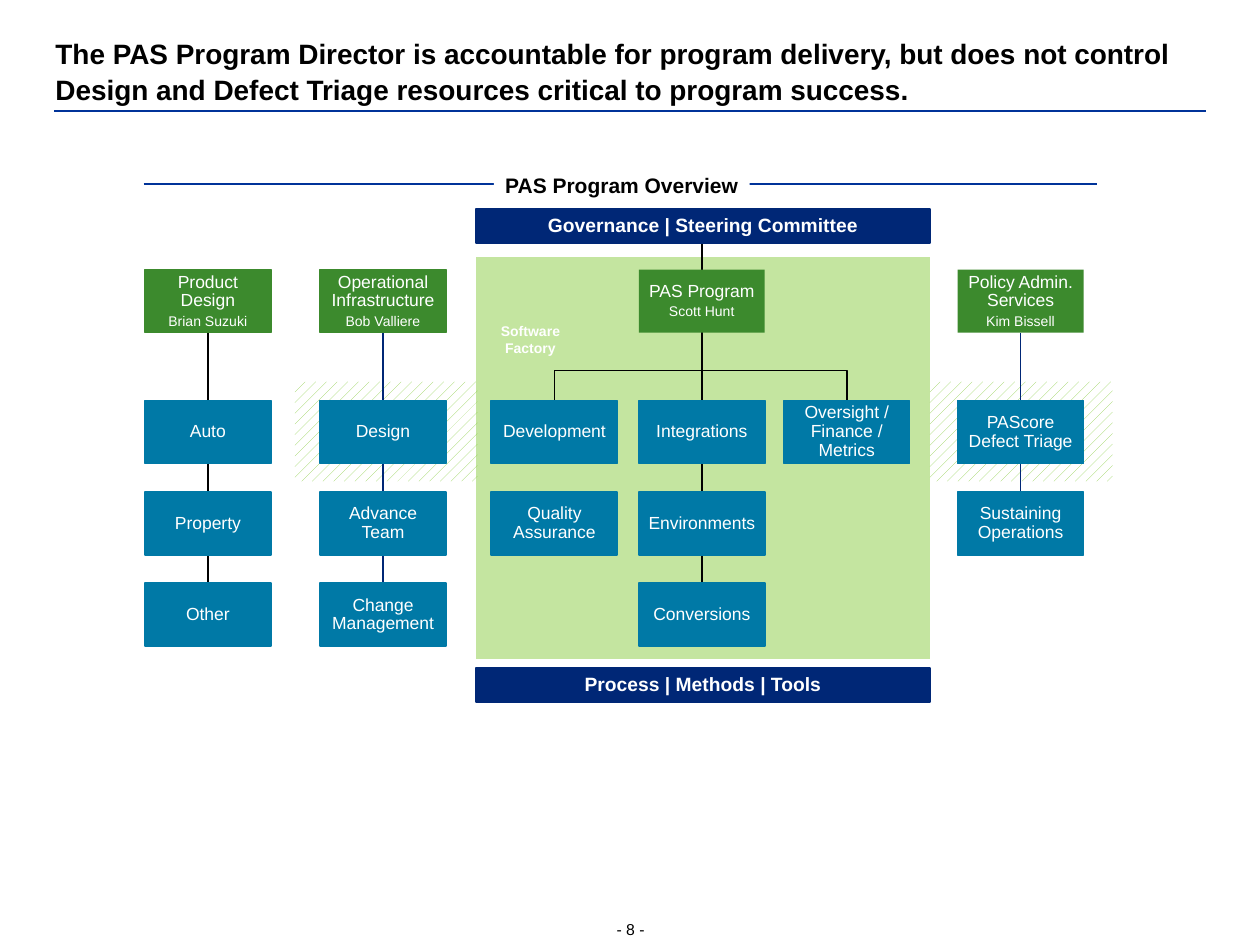
from pptx import Presentation, util as u
from pptx.dml.color import RGBColor
from pptx.enum import dml, shapes, text
from pptx.oxml import parse_xml
from pptx.oxml.ns import nsdecls, qn

BLACK, WHITE, BLUE, NAVY = "000000", "FFFFFF", "003399", "002776"
GREEN, TEAL, LIME = "3C8A2D", "0079A6", "92D050"
MID, TOP, LOW = text.MSO_ANCHOR.MIDDLE, text.MSO_ANCHOR.TOP, text.MSO_ANCHOR.BOTTOM

# Grid: left edges of the six columns, then the header and three box rows
COLS = [1.15, 2.54, 3.9, 5.07, 6.22, 7.6]
HEAD, FIRST, STEP = 2.14, 3.18, 0.725
BOX_W, BOX_H = 1, 0.5


def color(code):
    return RGBColor.from_string(code)


def row(n):
    return FIRST + n * STEP


def center(col):
    return COLS[col] + BOX_W / 2


class Chart:
    """Holds the font and the slide, and draws each kind of element."""

    font = "Arial"

    def __init__(self, deck):
        self.slide = deck.slides.add_slide(deck.slide_layouts[5])
        self.items = self.slide.shapes

    def words(self, shape, lines, sizes, tint=WHITE, bold=False, anchor=MID,
              pad=0.05, gap=0.9, align=text.PP_ALIGN.CENTER, wrap=True):
        frame = shape.text_frame
        frame.word_wrap = wrap
        frame.auto_size = text.MSO_AUTO_SIZE.NONE
        frame.vertical_anchor = anchor
        frame.margin_left = frame.margin_right = u.Inches(pad)
        frame.margin_top = frame.margin_bottom = u.Inches(pad)
        frame.text = "\n".join(lines)
        for n, (par, size) in enumerate(zip(frame.paragraphs, sizes)):
            par.alignment = align
            par.line_spacing = gap
            par.space_before = u.Pt(2 if n else 0)
            par.font.name = self.font
            par.font.size = u.Pt(size)
            par.font.bold = bold
            par.font.color.rgb = color(tint)

    def title(self, line, *area):
        shape = self.items.title
        shape.left, shape.top, shape.width, shape.height = map(u.Inches, area)
        self.words(shape, [line], [16], BLACK, True, LOW, 0, 1.06,
                   text.PP_ALIGN.LEFT)

    def label(self, line, size, *area, **style):
        shape = self.items.add_textbox(*map(u.Inches, area))
        self.words(shape, [line], [size], **style)

    def rect(self, fill, *area, edge=None):
        shape = self.items.add_shape(shapes.MSO_SHAPE.RECTANGLE,
                                     *map(u.Inches, area))
        shape.shadow.inherit = False
        shape.fill.solid()
        shape.fill.fore_color.rgb = color(fill)
        if edge:
            shape.line.color.rgb = color(edge)
            shape.line.width = u.Pt(1)
        else:
            shape.line.fill.background()
        return shape

    def hatch(self, *area):
        fill = self.rect(WHITE, *area).fill
        fill.patterned()
        fill.pattern = dml.MSO_PATTERN.DASHED_UPWARD_DIAGONAL
        fill.fore_color.rgb = color(LIME)
        fill.back_color.rgb = color(WHITE)

    def veil(self, fill, alpha, *area):
        shape = self.rect(fill, *area)
        tint = shape._element.spPr.find(qn("a:solidFill"))[0]
        tint.append(parse_xml(
            f'<a:alpha {nsdecls("a")} val="{alpha * 1000}"/>'))

    def line(self, tint, width, *ends):
        link = self.items.add_connector(shapes.MSO_CONNECTOR.STRAIGHT,
                                        *map(u.Inches, ends))
        link.line.color.rgb = color(tint)
        link.line.width = u.Pt(width)
        link._element.spPr.append(parse_xml(f'<a:effectLst {nsdecls("a")}/>'))

    def fork(self, left, right, top, base):
        pen = self.items.build_freeform(u.Inches(left), u.Inches(base))
        points = [(left, top), (right, top), (right, base)]
        pen.add_line_segments([(u.Inches(x), u.Inches(y)) for x, y in points],
                              close=False)
        shape = pen.convert_to_shape()
        shape.shadow.inherit = False
        shape.fill.background()
        shape.line.color.rgb = color(BLACK)
        shape.line.width = u.Pt(1)

    def head(self, col, role, name, edge=None):
        shape = self.rect(GREEN, COLS[col], HEAD, BOX_W, BOX_H, edge=edge)
        self.words(shape, [role, name], [10, 8])

    def box(self, col, level, line):
        shape = self.rect(TEAL, COLS[col], row(level), BOX_W, BOX_H, edge=TEAL)
        self.words(shape, [line], [10])

    def bar(self, line, top):
        shape = self.rect(NAVY, 3.78, top, 3.6, 0.27, edge=NAVY)
        self.words(shape, [line], [11], bold=True, anchor=LOW)


def main():
    deck = Presentation()
    deck.slide_width, deck.slide_height = u.Inches(10), u.Inches(7.5)
    art = Chart(deck)

    # Title, rule and page number
    art.line(BLUE, 1.5, 0.43, 0.88, 9.57, 0.88)
    art.title("The PAS Program Director is accountable for program delivery, "
              "but does not control Design and Defect Triage resources "
              "critical to program success.", 0.44, 0.27, 9.13, 0.57)
    art.label("- 8 -", 9, 4.85, 7.29, 0.31, 0.16, tint=BLACK, anchor=LOW,
              pad=0, gap=1.06, wrap=False)

    # Background areas
    for left in (7.38, 2.34):
        art.hatch(left, 3.03, 1.45, 0.79)
    art.veil(LIME, 54, 3.78, 2.04, 3.6, 3.19)

    # Lines behind the boxes
    for col, tint, top, last in [(0, BLACK, HEAD + BOX_H, 2),
                                 (3, BLACK, 1.93, 2),
                                 (1, NAVY, HEAD + BOX_H, 2),
                                 (5, NAVY, HEAD + BOX_H, 1)]:
        art.line(tint, 1, center(col), top, center(col), row(last))
    art.fork(center(2), center(4), 2.94, FIRST)

    # Column heads
    art.head(0, "Product Design", "Brian Suzuki", GREEN)
    art.head(1, "Operational Infrastructure", "Bob Valliere", GREEN)
    art.head(3, "PAS Program", "Scott Hunt")
    art.head(5, "Policy Admin. Services", "Kim Bissell")

    # Team boxes, column by column
    teams = [["Auto", "Property", "Other"],
             ["Design", "Advance Team", "Change Management"],
             ["Development", "Quality Assurance"],
             ["Integrations", "Environments", "Conversions"],
             ["Oversight / Finance / Metrics"],
             ["PAScore Defect Triage", "Sustaining Operations"]]
    for col, names in enumerate(teams):
        for level, name in enumerate(names):
            art.box(col, level, name)

    # Bars and factory label
    art.bar("Governance | Steering Committee", 1.66)
    art.bar("Process | Methods | Tools", 5.3)
    art.label("Software\vFactory", 8, 3.9, 2.56, 0.62, 0.27, bold=True,
              anchor=TOP, pad=0, gap=1.0)

    # Section heading over its rule
    art.line(BLUE, 1.5, 1.14, 1.46, 8.71, 1.46)
    tag = art.rect(WHITE, 3.92, 1.27, 2.03, 0.38)
    art.words(tag, ["PAS Program Overview"], [12], BLACK, True, pad=0.08,
              gap=1.06, wrap=False)

    deck.save("out.pptx")


if __name__ == "__main__":
    main()
